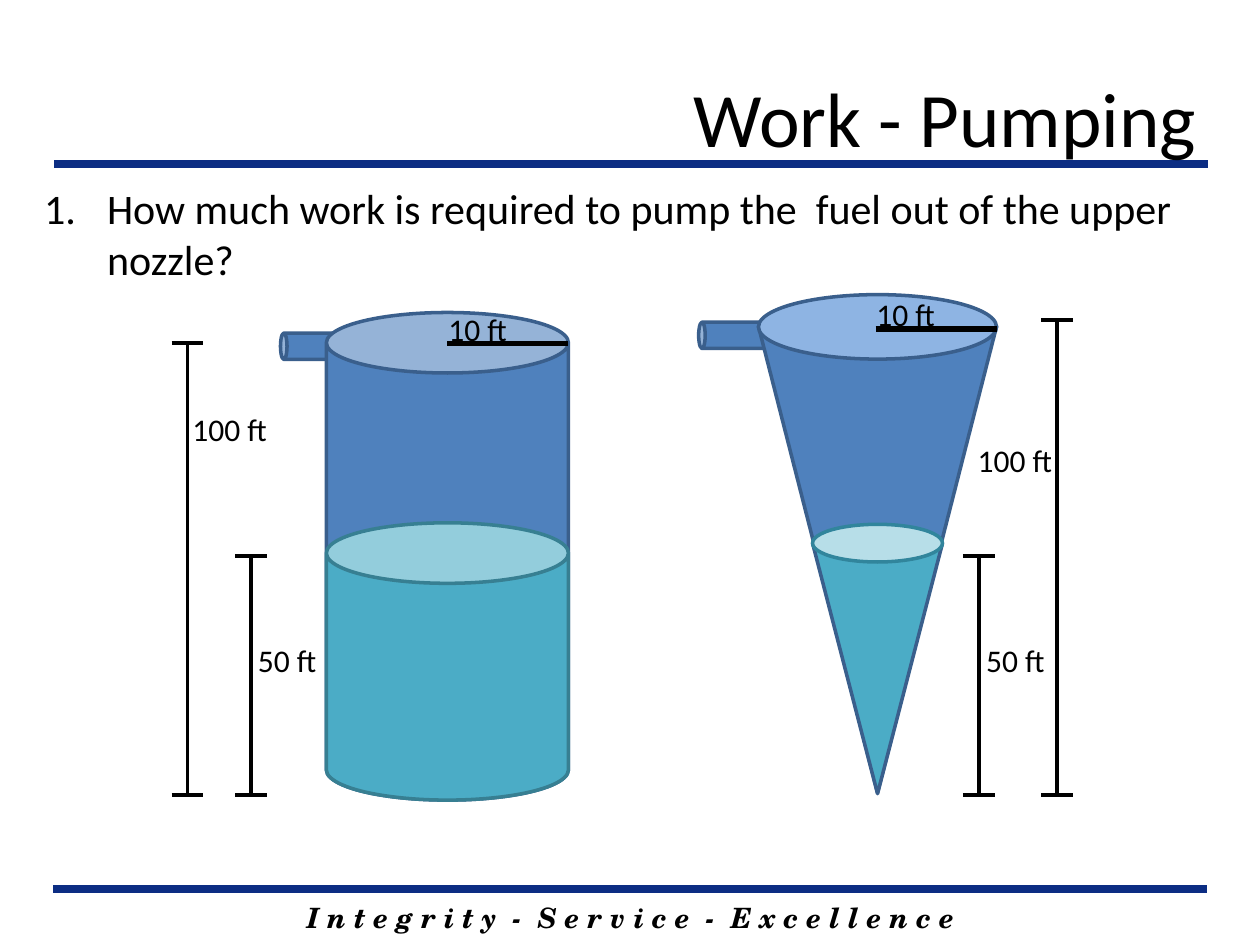
from pptx import Presentation
from pptx.dml.color import RGBColor
from pptx.enum.shapes import MSO_CONNECTOR, MSO_SHAPE
from pptx.enum.text import MSO_ANCHOR, PP_ALIGN
from pptx.oxml.ns import qn
from pptx.util import Cm, Pt
from lxml.etree import SubElement

THEME = {
    "ink": "000000", "rule": "0C2D83",
    "tank": "4F81BD", "tank_edge": "3A5F8C", "tank_top": "8EB4E3",
    "fuel": "4BACC6", "fuel_edge": "377F92", "fuel_top": "B7DEE8", "fuel_top_edge": "31859C",
    "body_font": "Calibri", "motto_font": "TeX Gyre Schola",
    "title_size": 44, "question_size": 24, "label_size": 18, "motto_size": 16,
    "rule_width": 4.5, "radius_width": 3, "dimension_width": 2.25, "edge_width": 2,
}

TITLE = ("Work - Pumping", (4.57, 0.76, 19.81, 3.18))
QUESTION = ("How much work is required to pump the  fuel out of the upper nozzle?",
            (0.64, 3.56, 23.5, 3.33))
MOTTO = ("I n t e g r i t y  -  S e r v i c e  -  E x c e l l e n c e",
         (3.61, 18.03, 18.21, 0.94))

RULES = [(1.07, 24.33, 17.93), (1.09, 24.36, 3.3)]
RADII = [(9.02, 11.46, 6.93), (17.65, 20.09, 6.63)]

VESSEL_PARTS = [
    (MSO_SHAPE.CAN, (14.53, 6.05, 0.53, 1.42), 270, "tank", "tank_edge"),
    (MSO_SHAPE.CAN, (6.1, 6.27, 0.53, 1.42), 270, "tank", "tank_edge"),
    (MSO_SHAPE.CAN, (6.58, 6.3, 4.88, 9.83), 0, "tank", "tank_edge"),
    (MSO_SHAPE.CAN, (6.58, 10.54, 4.88, 5.59), 0, "fuel", "fuel_edge"),
    (MSO_SHAPE.ISOSCELES_TRIANGLE, (15.29, 6.58, 4.8, 9.4), 180, "tank", "tank_edge"),
    (MSO_SHAPE.OVAL, (15.29, 5.94, 4.8, 1.3), 0, "tank_top", "tank_edge"),
    (MSO_SHAPE.ISOSCELES_TRIANGLE, (16.38, 10.95, 2.62, 5.05), 180, "fuel", "tank_edge"),
    (MSO_SHAPE.OVAL, (16.38, 10.57, 2.62, 0.76), 0, "fuel_top", "fuel_top_edge"),
]

FLOOR = 16.03
TICK = 0.32
DIMENSIONS = [(3.78, 6.92), (5.06, 11.2), (21.31, 6.46), (19.73, 11.2)]

LABEL_HEIGHT = 1.02
LABELS = [
    ("10 ft", 8.79, 6.12, 1.9), ("10 ft", 17.42, 5.82, 1.9),
    ("50 ft", 4.95, 12.8, 1.9), ("50 ft", 19.63, 12.8, 1.9),
    ("100 ft", 3.63, 8.15, 2.34), ("100 ft", 19.46, 8.76, 2.34),
]


def color(name):
    return RGBColor.from_string(THEME[name])


def add_line(slide, start, end, ink, width):
    line = slide.shapes.add_connector(
        MSO_CONNECTOR.STRAIGHT, *(Cm(v) for v in (*start, *end)))
    line.line.color.rgb = color(ink)
    line.line.width = Pt(THEME[width])
    SubElement(line._element.spPr, qn("a:effectLst"))


def add_part(slide, preset, box, rotation, fill, edge):
    part = slide.shapes.add_shape(preset, *(Cm(v) for v in box))
    part.rotation = rotation
    part.shadow.inherit = False
    part.fill.solid()
    part.fill.fore_color.rgb = color(fill)
    part.line.color.rgb = color(edge)
    part.line.width = Pt(THEME["edge_width"])


def add_text(slide, text, box, size, font="body_font", align=PP_ALIGN.LEFT,
             anchor=MSO_ANCHOR.TOP, wrap=True, numbered=False, **style):
    frame = slide.shapes.add_textbox(*(Cm(v) for v in box)).text_frame
    frame.word_wrap = wrap
    frame.vertical_anchor = anchor
    paragraph = frame.paragraphs[0]
    paragraph.alignment = align
    if numbered:
        properties = paragraph._p.get_or_add_pPr()
        properties.set("marL", str(Cm(1.27)))
        properties.set("indent", str(-Cm(1.27)))
        SubElement(properties, qn("a:buFont"), typeface="+mj-lt")
        SubElement(properties, qn("a:buAutoNum"), type="arabicPeriod")
    run = paragraph.add_run()
    run.text = text
    formats = {"name": THEME[font], "size": Pt(THEME[size]), **style}
    for attribute, value in formats.items():
        setattr(run.font, attribute, value)
    run.font.color.rgb = color("ink")


def main():
    deck = Presentation()
    deck.slide_width, deck.slide_height = Cm(25.4), Cm(19.05)
    slide = deck.slides.add_slide(deck.slide_layouts[6])

    add_text(slide, *MOTTO, "motto_size", "motto_font", PP_ALIGN.CENTER,
             bold=True, italic=True)
    for left, right, y in RULES:
        add_line(slide, (left, y), (right, y), "rule", "rule_width")
    add_text(slide, *TITLE, "title_size", align=PP_ALIGN.RIGHT, anchor=MSO_ANCHOR.MIDDLE)
    add_text(slide, *QUESTION, "question_size", numbered=True)

    for part in VESSEL_PARTS:
        add_part(slide, *part)
    for center, rim, y in RADII:
        add_line(slide, (center, y), (rim, y), "ink", "radius_width")
    for x, top in DIMENSIONS:
        add_line(slide, (x, top), (x, FLOOR), "ink", "dimension_width")
        for y in (top, FLOOR):
            add_line(slide, (x - TICK, y), (x + TICK, y), "ink", "dimension_width")
    for text, left, top, width in LABELS:
        add_text(slide, text, (left, top, width, LABEL_HEIGHT), "label_size", wrap=False)

    deck.save("out.pptx")


if __name__ == "__main__":
    main()
